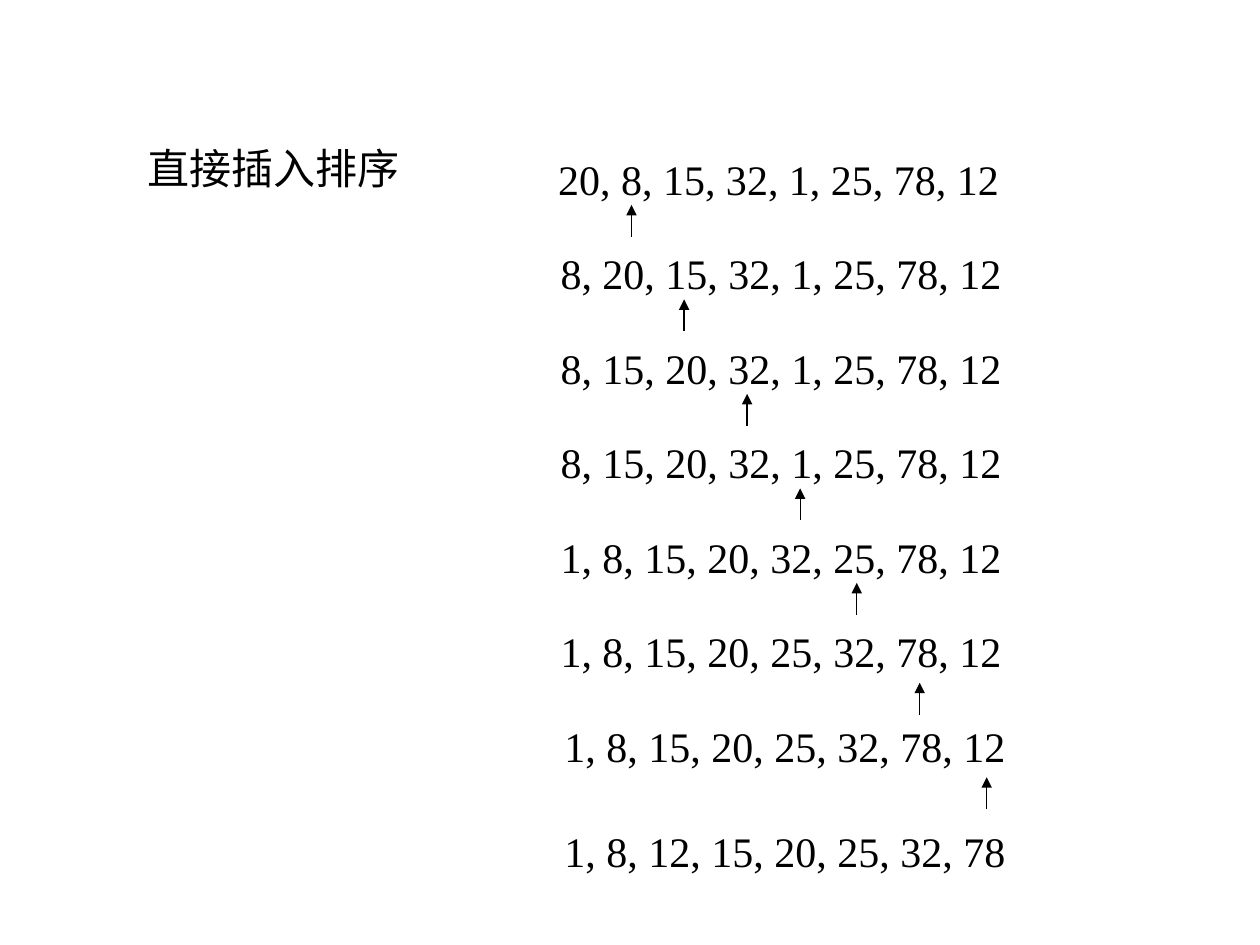
from lxml import etree
from pptx import Presentation
from pptx import util as u
from pptx.dml.color import RGBColor
from pptx.enum import shapes, text
from pptx.oxml import ns

BLACK = RGBColor(0, 0, 0)
FONT = "Times New Roman"
NUMBERS = [20, 8, 15, 32, 1, 25, 78, 12]
ROW_LEFTS = [11, 11.05, 11.05, 11.05, 11.05, 11.05, 11.13, 11.13]
ARROW_XS = [12.73, 13.79, 15.06, 16.13, 17.27, 18.54, 19.89]
ARROW_DROPS = [1.16] * 5 + [1.27] * 2
FIRST_TOP, ROW_PITCH, LAST_TOP = 2.97, 1.905, 16.51
ROW_WIDTH, ROW_HEIGHT, ARROW_LENGTH = 9.4, 1.27, 0.64


def insertion_steps(numbers):
    steps = [list(numbers)]
    for count in range(2, len(numbers) + 1):
        steps.append(sorted(numbers[:count]) + numbers[count:])
    return steps


def write_text(box, words, size=24, font=FONT, color=BLACK):
    frame = box.text_frame
    frame.word_wrap = False
    frame.auto_size = text.MSO_AUTO_SIZE.SHAPE_TO_FIT_TEXT
    frame.vertical_anchor = text.MSO_ANCHOR.TOP
    para = frame.paragraphs[0]
    para.alignment = text.PP_ALIGN.LEFT
    span = para.add_run()
    span.text = words
    span.font.size = u.Pt(size)
    span.font.name = font
    span.font.color.rgb = color


def add_title(page, words):
    box = page.shapes.title
    box.left, box.top = u.Cm(2.72), u.Cm(2.74)
    box.width, box.height = u.Cm(5.59), u.Cm(ROW_HEIGHT)
    write_text(box, words)


def add_row(parent, numbers, left, top):
    box = parent.shapes.add_textbox(
        u.Cm(left), u.Cm(top), u.Cm(ROW_WIDTH), u.Cm(ROW_HEIGHT))
    write_text(box, ", ".join(map(str, numbers)))


def add_up_arrow(parent, x, tip):
    arrow = parent.shapes.add_connector(
        shapes.MSO_CONNECTOR.STRAIGHT,
        u.Cm(x), u.Cm(tip + ARROW_LENGTH), u.Cm(x), u.Cm(tip))
    arrow.line.color.rgb = BLACK
    arrow.line.width = u.Pt(0.75)
    outline = arrow.line._get_or_add_ln()
    etree.SubElement(outline, ns.qn("a:tailEnd"), type="triangle")
    etree.SubElement(arrow._element.spPr, ns.qn("a:effectLst"))


def main():
    deck = Presentation()
    deck.slide_width, deck.slide_height = u.Cm(25.4), u.Cm(19.05)
    page = deck.slides.add_slide(deck.slide_layouts.get_by_name("Title Only"))
    add_title(page, "直接插入排序")

    *steps, final = insertion_steps(NUMBERS)
    rows = zip(steps, ROW_LEFTS, ARROW_XS, ARROW_DROPS)
    for index, (numbers, left, arrow_x, drop) in enumerate(rows):
        top = FIRST_TOP + index * ROW_PITCH
        group = page.shapes.add_group_shape()
        add_row(group, numbers, left, top)
        add_up_arrow(group, arrow_x, top + drop)
    add_row(page, final, ROW_LEFTS[-1], LAST_TOP)

    deck.save("out.pptx")


if __name__ == "__main__":
    main()
